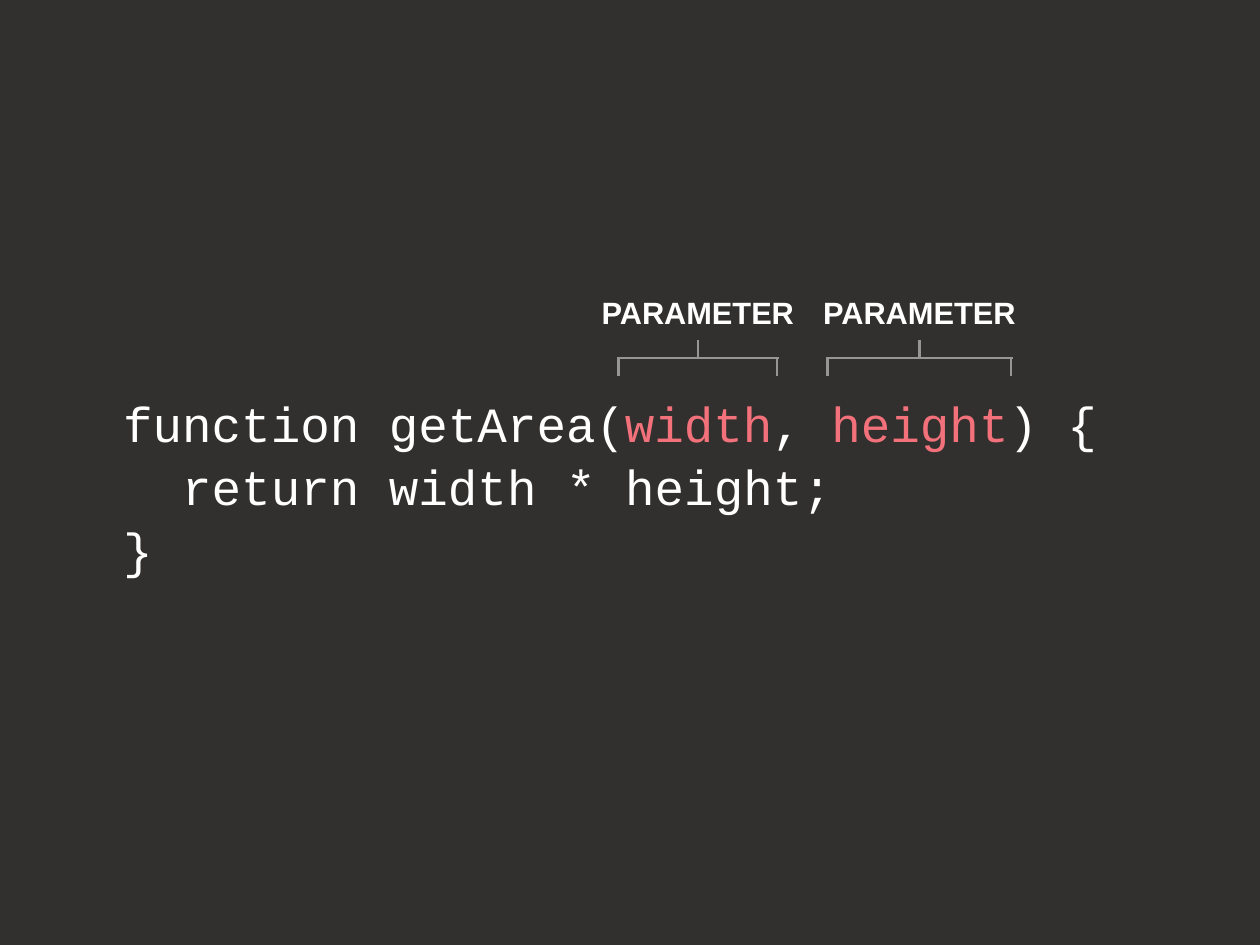
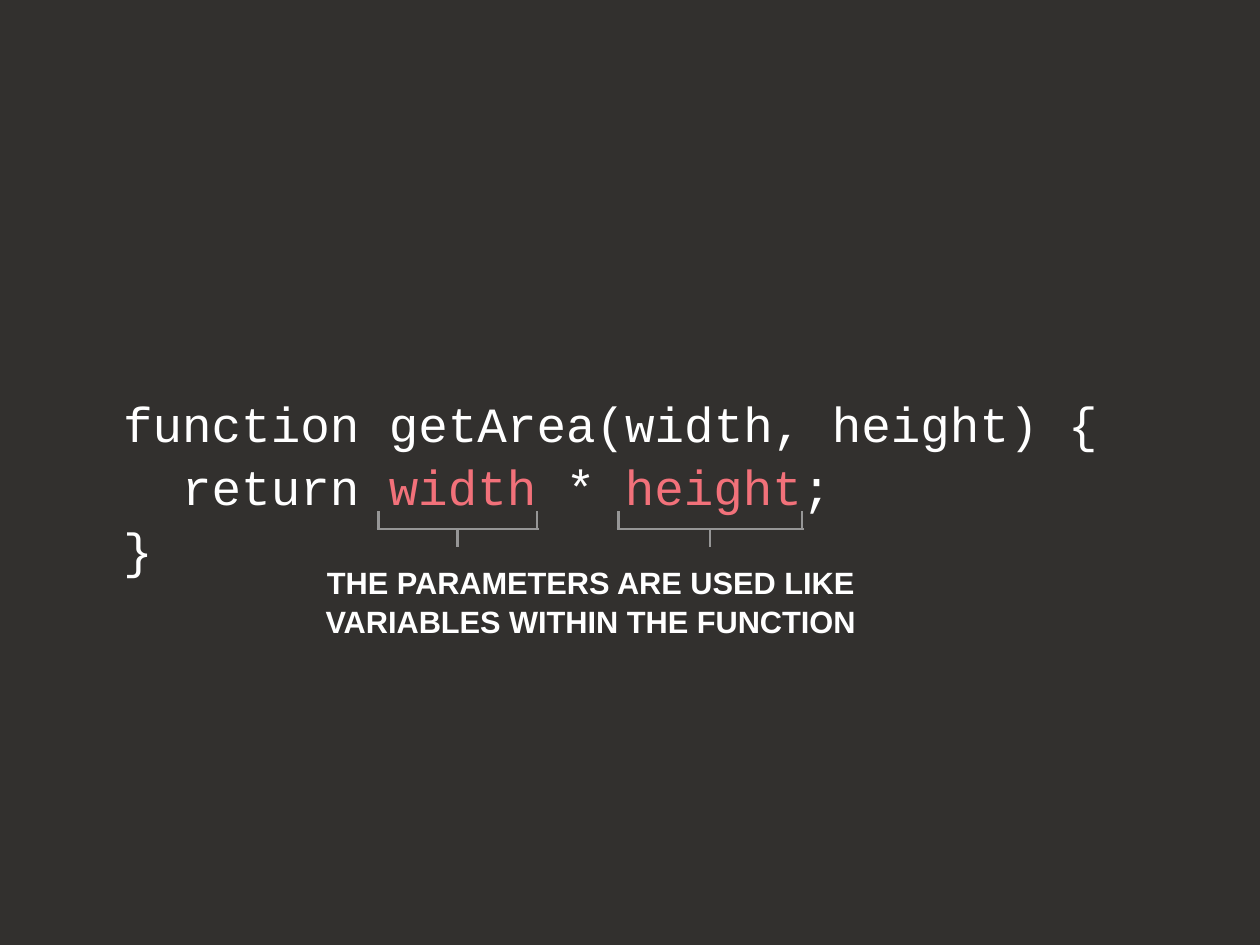
"""Two slides that explain the parameters of a function."""
import pptx
import pptx.dml.color
import pptx.enum.shapes
import pptx.enum.text
import pptx.oxml.ns
import pptx.util
from lxml import etree

Inches, Pt = pptx.util.Inches, pptx.util.Pt
ALIGN = pptx.enum.text.PP_ALIGN

COLORS = {"back": "32302E", "text": "FFFFFF", "accent": "F2717A", "line": "969696"}
CODE = {"name": "Courier New", "size": Pt(40), "bold": False}
LABEL = {"name": "Arial", "size": Pt(25), "bold": True}
CODE_BOX = (1.39, 4.4, 11.44, 2)
SPANS = {"width": 1.79, "height": 2.07}
LEG, OVERHANG = 0.2, 0.02

SLIDES = [
    {
        "code": [
            [("function getArea(", "text"), ("width", "accent"), (", ", "text"),
             ("height", "accent"), (") {", "text")],
            [("  return width * height;", "text")],
            [("}", "text")],
        ],
        "spine": 4.04,
        "side": -1,
        "brackets": [("width", 6.98, "PARAMETER"), ("height", 9.34, "PARAMETER")],
        "label": None,
    },
    {
        "code": [
            [("function getArea(width, height) {", "text")],
            [("  return ", "text"), ("width", "accent"), (" * ", "text"),
             ("height", "accent"), (";", "text")],
            [("}", "text")],
        ],
        "spine": 5.97,
        "side": 1,
        "brackets": [("width", 4.27, None), ("height", 6.98, None)],
        "label": ("THE PARAMETERS ARE USED LIKE VARIABLES WITHIN THE FUNCTION",
                  (3.49, 6.34, 6.35, 0.97)),
    },
]


def rgb(key):
    return pptx.dml.color.RGBColor.from_string(COLORS[key])


def add_text(shapes, box, lines, style, align, spacing):
    sp = shapes.add_textbox(*map(Inches, box))
    tf = sp.text_frame
    frame = dict.fromkeys(("margin_left", "margin_top", "margin_right", "margin_bottom"), 0)
    for name, value in {**frame, "word_wrap": True}.items():
        setattr(tf, name, value)
    p = tf.paragraphs[0]
    p.alignment, p.line_spacing = align, spacing
    for i, line in enumerate(lines):
        if i:
            p.add_line_break()
        for text, color in line:
            r = p.add_run()
            r.text = text
            for name, value in style.items():
                setattr(r.font, name, value)
            r.font.color.rgb = rgb(color)


def add_label(shapes, box, text):
    add_text(shapes, box, [[(text, "text")]], LABEL, ALIGN.CENTER, 1.05)


def add_line(shapes, x1, y1, x2, y2):
    line = shapes.add_connector(pptx.enum.shapes.MSO_CONNECTOR.STRAIGHT,
                                *map(Inches, (x1, y1, x2, y2)))
    line.line.color.rgb = rgb("line")
    line.line.width = Pt(2)
    etree.SubElement(line._element.spPr, pptx.oxml.ns.qn("a:effectLst"))


def add_bracket(s, left, span, spine, side, label):
    shapes = s.shapes.add_group_shape().shapes
    right, middle = left + span, left + span / 2
    for x, direction in ((left, -side), (right, -side), (middle, side)):
        add_line(shapes, x, spine, x, spine + direction * LEG)
    add_line(shapes, left - OVERHANG, spine, right + OVERHANG, spine)
    if label:
        width = 3.35
        add_label(shapes, (middle - width / 2, spine - 0.75, width, 0.41), label)


def main():
    prs = pptx.Presentation()
    prs.slide_width, prs.slide_height = Inches(14.22), Inches(10.66)
    for content in SLIDES:
        s = prs.slides.add_slide(prs.slide_layouts[6])
        s.background.fill.solid()
        s.background.fill.fore_color.rgb = rgb("back")
        add_text(s.shapes, CODE_BOX, content["code"], CODE, ALIGN.LEFT, 1.06)
        for word, left, label in content["brackets"]:
            add_bracket(s, left, SPANS[word], content["spine"], content["side"], label)
        if content["label"]:
            text, box = content["label"]
            add_label(s.shapes, box, text)
    prs.save("out.pptx")


if __name__ == "__main__":
    main()
